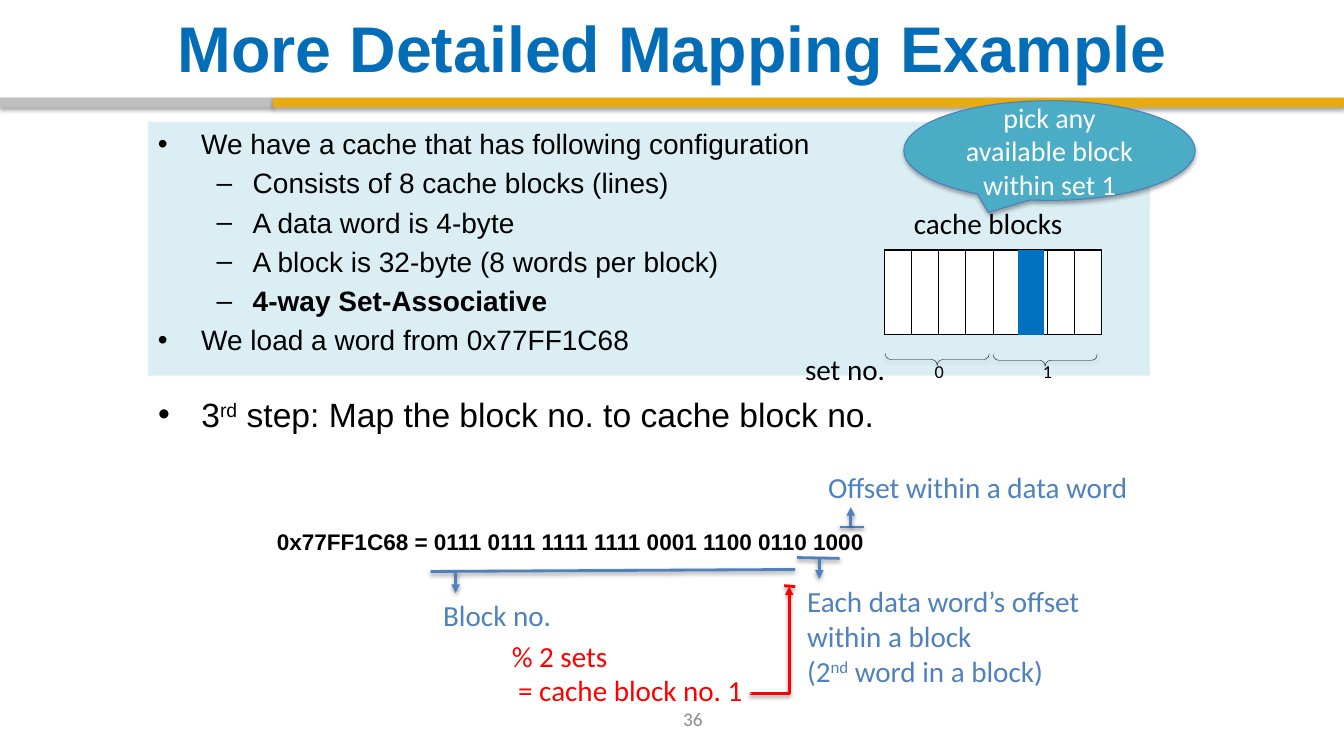
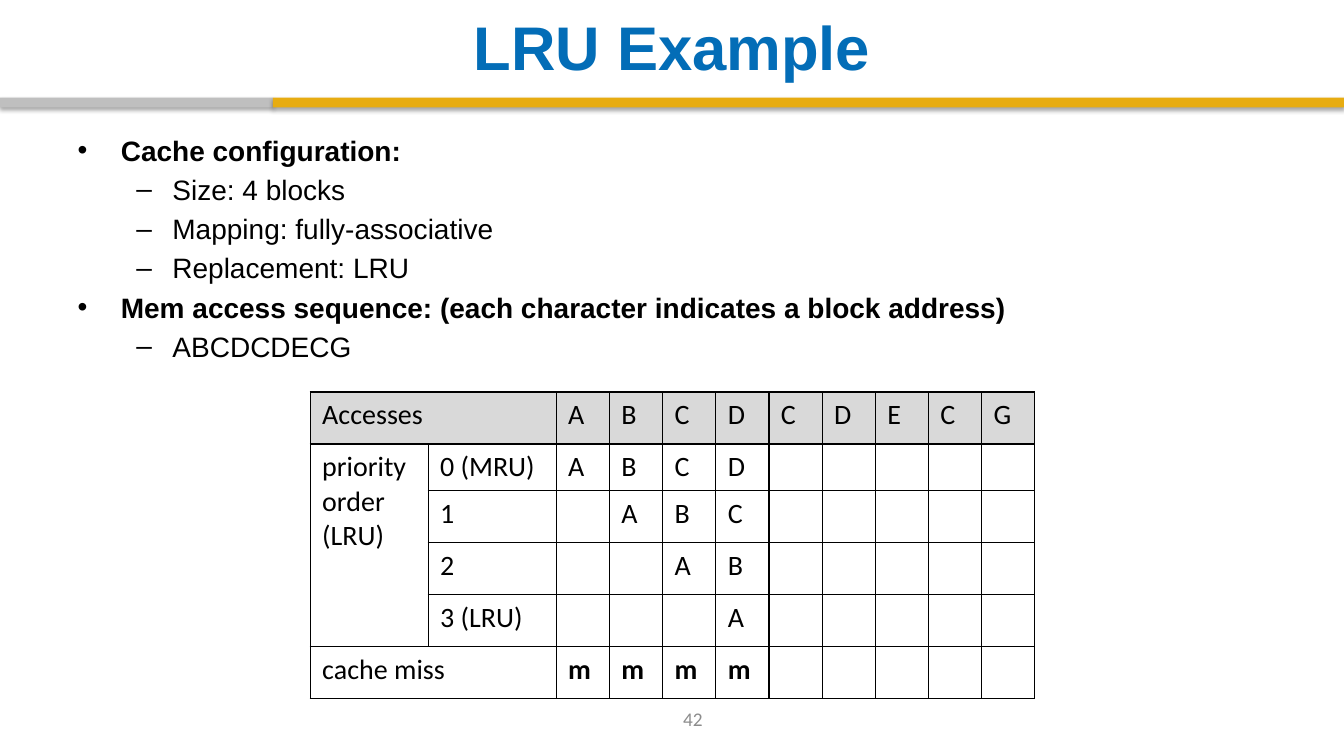
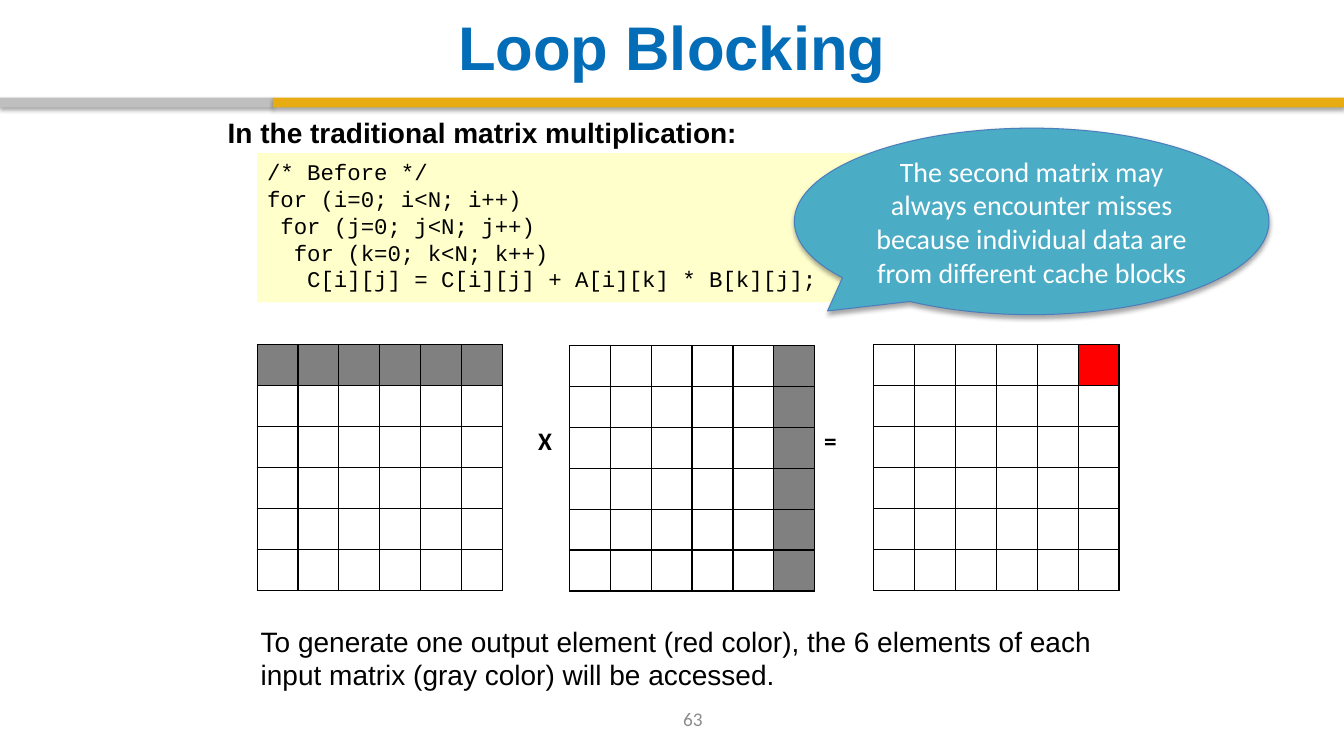
from dataclasses import dataclass

from lxml.etree import SubElement
from pptx import Presentation
from pptx.dml.color import RGBColor
from pptx.enum.shapes import MSO_CONNECTOR, MSO_SHAPE
from pptx.enum.text import MSO_ANCHOR, MSO_AUTO_SIZE, PP_ALIGN
from pptx.oxml.ns import qn
from pptx.util import Cm, Pt


@dataclass(frozen=True)
class Theme:
    heading_font: str = "Arial"
    label_font: str = "Calibri"
    code_font: str = "Courier New"
    black: str = "000000"
    white: str = "FFFFFF"
    blue: str = "036DB7"
    gold: str = "E7AC11"
    silver: str = "BFBFBF"
    number_gray: str = "8C8C8C"
    note_blue: str = "4F81BD"
    red: str = "FF0000"
    callout: str = "4BACC6"
    callout_edge: str = "4B7EBC"
    config_fill: str = "DBEEF4"
    code_fill: str = "FFFFCC"
    header_fill: str = "D9D9D9"
    accessed: str = "808080"
    chosen_block: str = "0070C0"
    title_size: float = 44
    long_title_size: float = 46.1
    step_size: float = 24
    label_size: float = 20.8
    text_size: float = 20
    operator_size: float = 18
    address_size: float = 16.1
    code_size: float = 16
    number_size: float = 13.8
    set_size: float = 13


THEME = Theme()
NO_STYLE_TABLE = "{2D5ABB26-0587-4C30-8999-92F81FD0307C}"
BULLETS = [("•", Cm(1.09), Cm(-1.09)), ("–", Cm(2.39), Cm(-0.91))]


def rgb(color):
    return RGBColor.from_string(color)


def box(*lengths):
    return [Cm(length) for length in lengths]


def style(paragraph, size, color=THEME.black, font=THEME.label_font, bold=False, align=PP_ALIGN.LEFT):
    paragraph.alignment = align
    paragraph.font.size = Pt(size)
    paragraph.font.name = font
    paragraph.font.bold = bold
    paragraph.font.color.rgb = rgb(color)


def add_runs(paragraph, text):
    for index, part in enumerate(text.split("^")):
        run = paragraph.add_run()
        run.text = part
        if index % 2:
            run._r.get_or_add_rPr().set("baseline", "30000")


def next_paragraph(frame, index):
    return frame.add_paragraph() if index else frame.paragraphs[0]


def write(frame, lines, size, **look):
    for index, line in enumerate(lines):
        paragraph = next_paragraph(frame, index)
        add_runs(paragraph, line)
        style(paragraph, size, **look)


def write_list(frame, items, size):
    for index, (level, text, bold) in enumerate(items):
        paragraph = next_paragraph(frame, index)
        paragraph.level = level
        mark, margin, hang = BULLETS[level]
        properties = paragraph._p.get_or_add_pPr()
        properties.set("marL", str(margin))
        properties.set("indent", str(hang))
        SubElement(properties, qn("a:buFont")).set("typeface", THEME.heading_font)
        SubElement(properties, qn("a:buChar")).set("char", mark)
        paragraph.space_before = Pt(4 if index else 0)
        add_runs(paragraph, text)
        style(paragraph, size, font=THEME.heading_font, bold=bold)


def cast_shadow(shape, opacity=35, distance=1.8):
    properties = shape.element.spPr
    effects = properties.find(qn("a:effectLst"))
    if effects is None:
        effects = SubElement(properties, qn("a:effectLst"))
    shadow = SubElement(effects, qn("a:outerShdw"), blurRad=str(Pt(3.1)), dist=str(Pt(distance)),
                        dir="5400000", rotWithShape="0")
    color = SubElement(shadow, qn("a:srgbClr"), val=THEME.black)
    SubElement(color, qn("a:alpha"), val=str(opacity * 1000))


def add_panel(slide, place, fill, kind=MSO_SHAPE.RECTANGLE):
    panel = slide.shapes.add_shape(kind, *box(*place))
    panel.shadow.inherit = False
    panel.fill.solid()
    panel.fill.fore_color.rgb = rgb(fill)
    panel.line.fill.background()
    panel.text_frame.word_wrap = True
    panel.text_frame.vertical_anchor = MSO_ANCHOR.TOP
    return panel


def add_callout(slide, place, text, tip):
    callout = add_panel(slide, place, THEME.callout, MSO_SHAPE.OVAL_CALLOUT)
    callout.adjustments[0], callout.adjustments[1] = tip
    callout.line.color.rgb = rgb(THEME.callout_edge)
    callout.line.width = Pt(0.75)
    cast_shadow(callout)
    callout.text_frame.vertical_anchor = MSO_ANCHOR.MIDDLE
    write(callout.text_frame, [text], THEME.text_size, color=THEME.white, align=PP_ALIGN.CENTER)


def add_label(slide, place, lines, size=THEME.label_size, wrap=False, **look):
    label = slide.shapes.add_textbox(*box(*place))
    label.text_frame.word_wrap = wrap
    label.text_frame.auto_size = MSO_AUTO_SIZE.SHAPE_TO_FIT_TEXT
    write(label.text_frame, lines, size, **look)
    return label


def add_line(slide, start, end, color=THEME.note_blue, arrow=False, kind=MSO_CONNECTOR.STRAIGHT):
    line = slide.shapes.add_connector(kind, *box(*start, *end))
    line.line.color.rgb = rgb(color)
    line.line.width = Pt(2)
    if arrow:
        SubElement(line.line._get_or_add_ln(), qn("a:tailEnd"), type="triangle")
    cast_shadow(line, 38, 1.6)
    return line


def add_corner_arrow(slide, start, end, color):
    middle_x, middle_y = (start[0] + end[0]) / 2, (start[1] + end[1]) / 2
    half_run, half_rise = (end[0] - start[0]) / 2, (start[1] - end[1]) / 2
    arrow = add_line(slide, (middle_x + half_rise, middle_y + half_run),
                     (middle_x - half_rise, middle_y - half_run), color, True, MSO_CONNECTOR.ELBOW)
    properties = arrow.element.spPr
    properties.find(qn("a:xfrm")).set("rot", "5400000")
    geometry = properties.find(qn("a:prstGeom"))
    guides = geometry.find(qn("a:avLst"))
    if guides is None:
        guides = SubElement(geometry, qn("a:avLst"))
    SubElement(guides, qn("a:gd"), name="adj1", fmla="val -200")


def add_brace(slide, left, top):
    brace = add_panel(slide, (left, top, 0.3, 2.62), THEME.white, MSO_SHAPE.RIGHT_BRACE)
    brace.fill.background()
    brace.rotation = 90
    brace.adjustments[0], brace.adjustments[1] = 0.46, 0.5
    brace.line.color.rgb = rgb(THEME.black)
    brace.line.width = Pt(0.25)
    cast_shadow(brace, 38, 1.6)


def set_borders(cell, edges):
    properties = cell._tc.get_or_add_tcPr()
    for edge in "LRTB":
        if edge in edges:
            line = SubElement(properties, qn(f"a:ln{edge}"), w=str(Pt(1)))
            SubElement(SubElement(line, qn("a:solidFill")), qn("a:srgbClr"), val=THEME.black)


def add_grid(slide, left, top, widths, heights, fill_of, edges_of=lambda row: "LRTB"):
    frame = slide.shapes.add_table(len(heights), len(widths),
                                   *box(left, top, sum(widths), sum(heights)))
    table = frame.table
    table.first_row = table.horz_banding = False
    table._tbl.tblPr.find(qn("a:tableStyleId")).text = NO_STYLE_TABLE
    for column, width in zip(table.columns, widths):
        column.width = Cm(width)
    for row, height in zip(table.rows, heights):
        row.height = Cm(height)
    for row in range(len(heights)):
        for column in range(len(widths)):
            cell = table.cell(row, column)
            set_borders(cell, edges_of(row))
            fill = fill_of(row, column)
            if fill:
                cell.fill.solid()
                cell.fill.fore_color.rgb = rgb(fill)
            else:
                cell.fill.background()
    return table


def fill_cell(cell, lines, size, **look):
    cell.margin_left = cell.margin_right = Cm(0.3)
    cell.margin_top = cell.margin_bottom = Cm(0.15)
    write(cell.text_frame, lines, size, **look)


def add_bands(slide, master):
    bands = [add_panel(slide, (0, 2.46, 6.88, 0.25), THEME.silver),
             add_panel(slide, (6.88, 2.46, 26.99, 0.25), THEME.gold)]
    for number, band in enumerate(bands, 20):
        cast_shadow(band)
        band.element.nvSpPr.cNvPr.set("id", str(number))
        master.element.cSld.spTree.append(band.element)


def start_slide(deck, layout, title, number, title_size=THEME.title_size):
    slide = deck.slides.add_slide(deck.slide_layouts.get_by_name(layout))
    heading = slide.shapes.title
    heading.left, heading.top, heading.width, heading.height = box(1.7, 0.2, 30.48, 1.93)
    heading.text_frame.auto_size = MSO_AUTO_SIZE.NONE
    heading.text_frame.vertical_anchor = MSO_ANCHOR.MIDDLE
    write(heading.text_frame, [title], title_size, color=THEME.blue, font=THEME.heading_font,
          bold=True, align=PP_ALIGN.CENTER)
    page = slide.shapes.add_textbox(*box(13.51, 17.6, 7.9, 1.02))
    page.text_frame.word_wrap = True
    page.text_frame.vertical_anchor = MSO_ANCHOR.MIDDLE
    write(page.text_frame, [str(number)], THEME.number_size, color=THEME.number_gray,
          align=PP_ALIGN.CENTER)
    return slide


def fill_body(slide, place, items, size):
    body = slide.placeholders[1]
    body.left, body.top, body.width, body.height = box(*place)
    body.text_frame.auto_size = MSO_AUTO_SIZE.NONE
    write_list(body.text_frame, items, size)


def add_cache_blocks(slide):
    blocks = add_grid(slide, 22.3, 6.3, [0.68] * 8, [2.13, 1.37],
                      lambda row, column: None if row else THEME.white,
                      lambda row: "T" if row else "LRTB")
    for set_number in range(2):
        first = set_number * 4
        cell = blocks.cell(1, first)
        cell.merge(blocks.cell(1, first + 3))
        cell.vertical_anchor = MSO_ANCHOR.BOTTOM
        fill_cell(cell, [str(set_number)], THEME.set_size, align=PP_ALIGN.CENTER)
    add_label(slide, (22.78, 5.05, 4.29, 1.14), ["cache blocks"])
    add_brace(slide, 23.47, 7.75)
    add_brace(slide, 26.19, 7.77)
    add_label(slide, (20.04, 8.74, 2.57, 1.14), ["set no."])
    add_grid(slide, 25.65, 6.3, [0.66], [2.13], lambda row, column: THEME.chosen_block,
             lambda row: "")


def build_mapping(slide):
    fill_body(slide, (3.73, 9.8, 26.37, 7.21),
              [(0, "3^rd^ step: Map the block no. to cache block no.", False)], THEME.step_size)
    add_label(slide, (6.43, 13.18, 15.88, 0.94),
              ["0x77FF1C68 = 0111 0111 1111 1111 0001 1100 0110 1000"], THEME.address_size,
              wrap=True, font=THEME.heading_font, bold=True, align=PP_ALIGN.CENTER)
    config = add_panel(slide, (3.73, 3.07, 25.25, 6.4), THEME.config_fill)
    write_list(config.text_frame, [
        (0, "We have a cache that has following configuration", False),
        (1, "Consists of 8 cache blocks (lines)", False),
        (1, "A data word is 4-byte", False),
        (1, "A block is 32-byte (8 words per block)", False),
        (1, "4-way Set-Associative", True),
        (0, "We load a word from 0x77FF1C68", False),
    ], THEME.text_size)

    add_label(slide, (20.62, 11.71, 8.53, 1.14), ["Offset within a data word"],
              wrap=True, color=THEME.note_blue)
    add_label(slide, (20.09, 14.58, 7.65, 2.92),
              ["Each data word’s offset", "within a block", "(2^nd^ word in a block)"],
              color=THEME.note_blue)
    add_label(slide, (10.92, 14.94, 3.25, 1.14), ["Block no."], color=THEME.note_blue)
    for start, end, arrow_start, arrow_end in [
        ((21.16, 13.28), (21.77, 13.28), (21.44, 13.26), (21.44, 12.78)),
        ((20.09, 14.05), (21.16, 14.07), (20.65, 14.07), (20.65, 14.58)),
        ((10.85, 14.4), (20.04, 14.35), (11.48, 14.4), (11.48, 14.94)),
    ]:
        add_line(slide, start, end)
        add_line(slide, arrow_start, arrow_end, arrow=True)

    result = add_label(slide, (12.65, 15.95, 6.4, 2.03), ["% 2 sets", "= cache block no. 1"],
                       color=THEME.red)
    result.text_frame.paragraphs[1]._p.get_or_add_pPr().set("marL", str(Cm(0.16)))
    add_line(slide, (19.76, 14.76), (20.04, 14.78), THEME.red)
    add_corner_arrow(slide, (18.92, 17.48), (19.89, 14.78), THEME.red)
    add_cache_blocks(slide)
    add_callout(slide, (22.78, 2.54, 7.34, 2.51), "pick any available block within set 1",
                (-0.21, 0.62))


def build_lru(slide):
    accesses = "ABCDCDECG"
    priorities = ["0 (MRU)", "1", "2", "3 (LRU)"]
    shown = 4
    table = add_grid(slide, 7.82, 9.88, [2.97, 3.23] + [1.34] * len(accesses),
                     [1.31, 1.17] + [1.31] * 4,
                     lambda row, column: None if row else THEME.header_fill)
    table.cell(0, 0).merge(table.cell(0, 1))
    table.cell(1, 0).merge(table.cell(4, 0))
    table.cell(5, 0).merge(table.cell(5, 1))
    fill_cell(table.cell(0, 0), ["Accesses"], THEME.text_size)
    fill_cell(table.cell(1, 0), ["priority order", "(LRU)"], THEME.text_size)
    fill_cell(table.cell(5, 0), ["cache miss"], THEME.text_size)
    for row, priority in enumerate(priorities, 1):
        fill_cell(table.cell(row, 1), [priority], THEME.text_size)
    for step, block in enumerate(accesses):
        fill_cell(table.cell(0, step + 2), [block], THEME.text_size)
    for step in range(shown):
        for age in range(step + 1):
            fill_cell(table.cell(age + 1, step + 2), [accesses[step - age]], THEME.text_size)
        fill_cell(table.cell(5, step + 2), ["m"], THEME.text_size, bold=True)
    fill_body(slide, (1.7, 3.23, 30.48, 13.79), [
        (0, "Cache configuration:", True),
        (1, "Size: 4 blocks", False),
        (1, "Mapping: fully-associative", False),
        (1, "Replacement: LRU", False),
        (0, "Mem access sequence: (each character indicates a block address)", True),
        (1, accesses, False),
    ], THEME.text_size)


def build_blocking(slide):
    matrices = [
        (6.48, 8.69, lambda row, column: THEME.accessed if row == 0 else None),
        (14.35, 8.71, lambda row, column: THEME.accessed if column == 5 else None),
        (22.02, 8.69, lambda row, column: THEME.red if (row, column) == (0, 5) else None),
    ]
    for left, top, fill_of in matrices:
        add_grid(slide, left, top, [1.03] * 6, [1.03] * 6, fill_of)
    for left, operator in [(13.31, "X"), (20.52, "=")]:
        add_label(slide, (left, 10.59, 0.85, 1.02), [operator], THEME.operator_size, bold=True)
    code = add_panel(slide, (6.48, 3.86, 16.99, 3.76), THEME.code_fill)
    write(code.text_frame, [
        "/* Before */",
        "for (i=0; i<N; i++)",
        " for (j=0; j<N; j++)",
        "  for (k=0; k<N; k++)",
        "   C[i][j] = C[i][j] + A[i][k] * B[k][j];",
    ], THEME.code_size, font=THEME.code_font)
    add_callout(slide, (20.02, 3.23, 11.96, 4.7),
                "The second matrix may always encounter misses because individual data are "
                "from different cache blocks", (-0.43, 0.48))
    add_label(slide, (5.49, 2.79, 13.46, 1.12), ["In the traditional matrix multiplication:"],
              THEME.text_size, font=THEME.heading_font, bold=True)
    add_label(slide, (6.32, 15.6, 22.53, 1.96),
              ["To generate one output element (red color), the 6 elements of each input matrix "
               "(gray color) will be accessed."],
              THEME.text_size, wrap=True, font=THEME.heading_font)


def main():
    deck = Presentation()
    deck.slide_width, deck.slide_height = box(33.87, 19.05)
    mapping = start_slide(deck, "Title and Content", "More Detailed Mapping Example", 36,
                          THEME.long_title_size)
    add_bands(mapping, deck.slide_master)
    build_mapping(mapping)
    build_lru(start_slide(deck, "Title and Content", "LRU Example", 42))
    build_blocking(start_slide(deck, "Title Only", "Loop Blocking", 63))
    deck.save("out.pptx")


if __name__ == "__main__":
    main()
